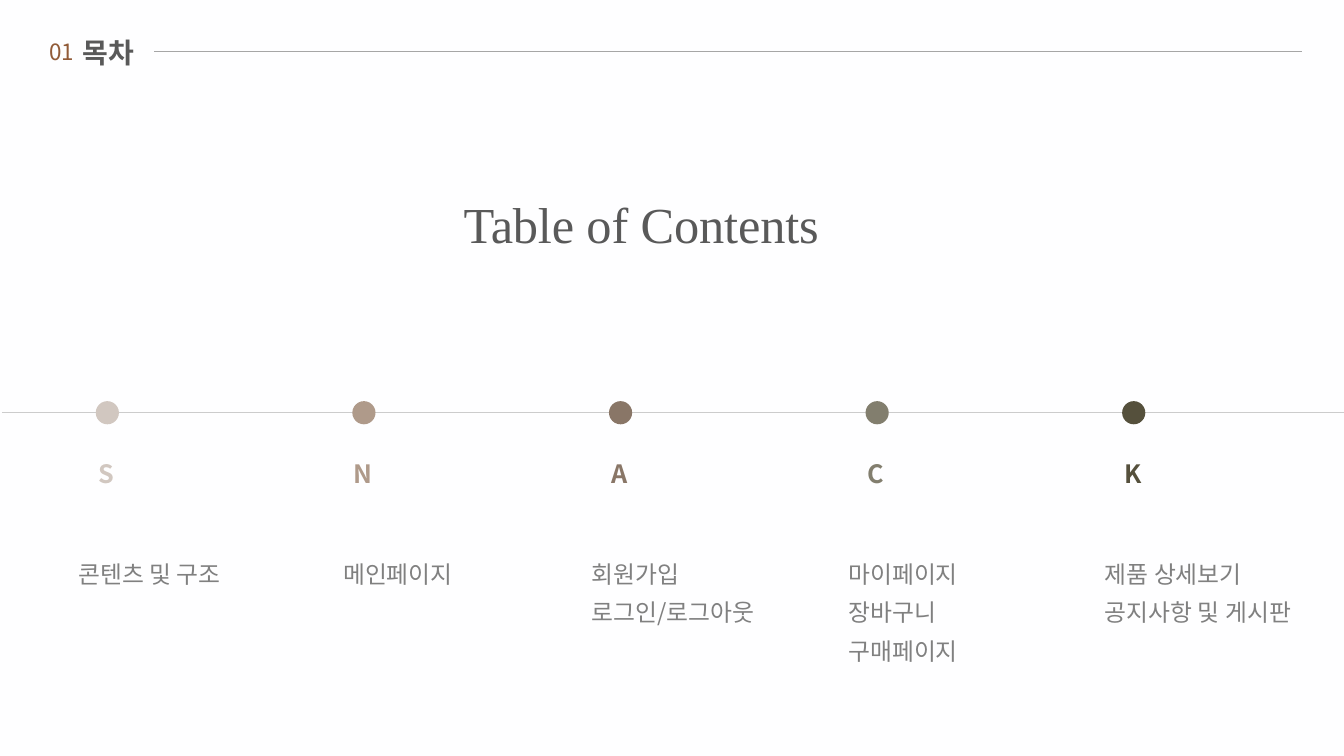
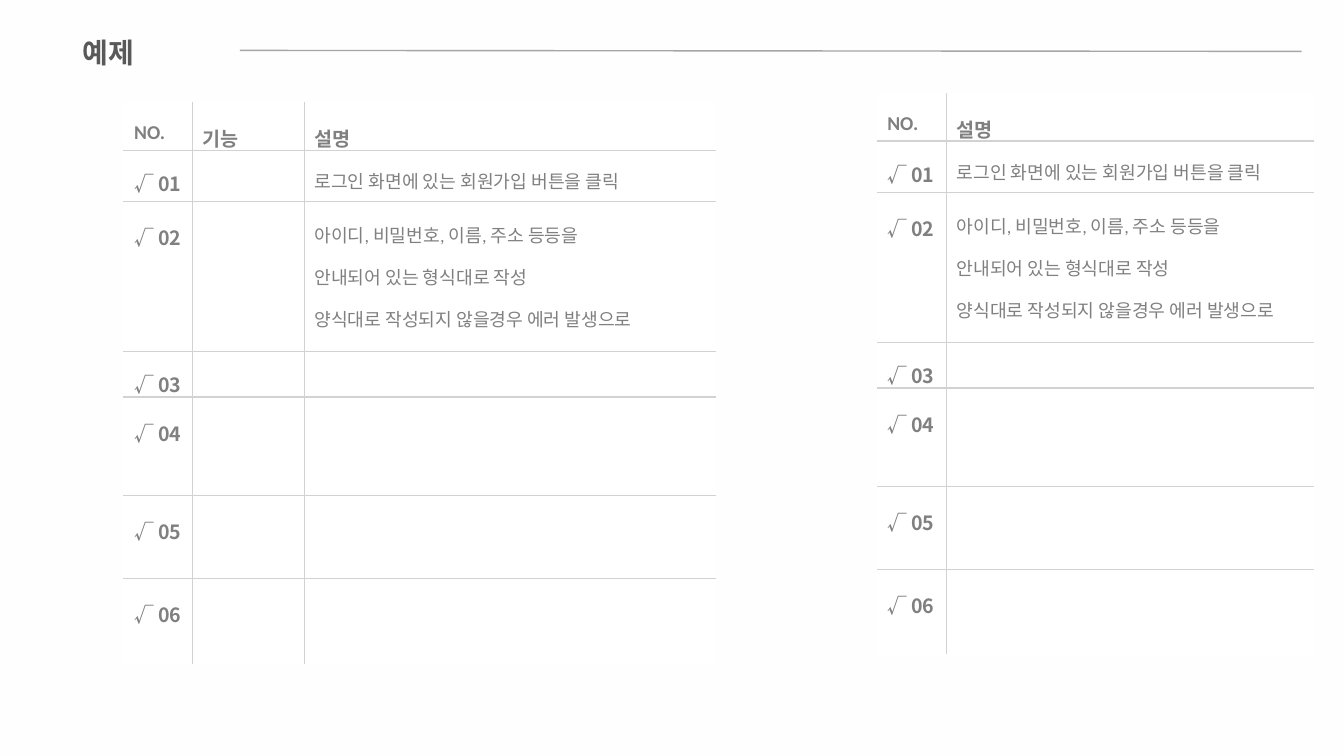
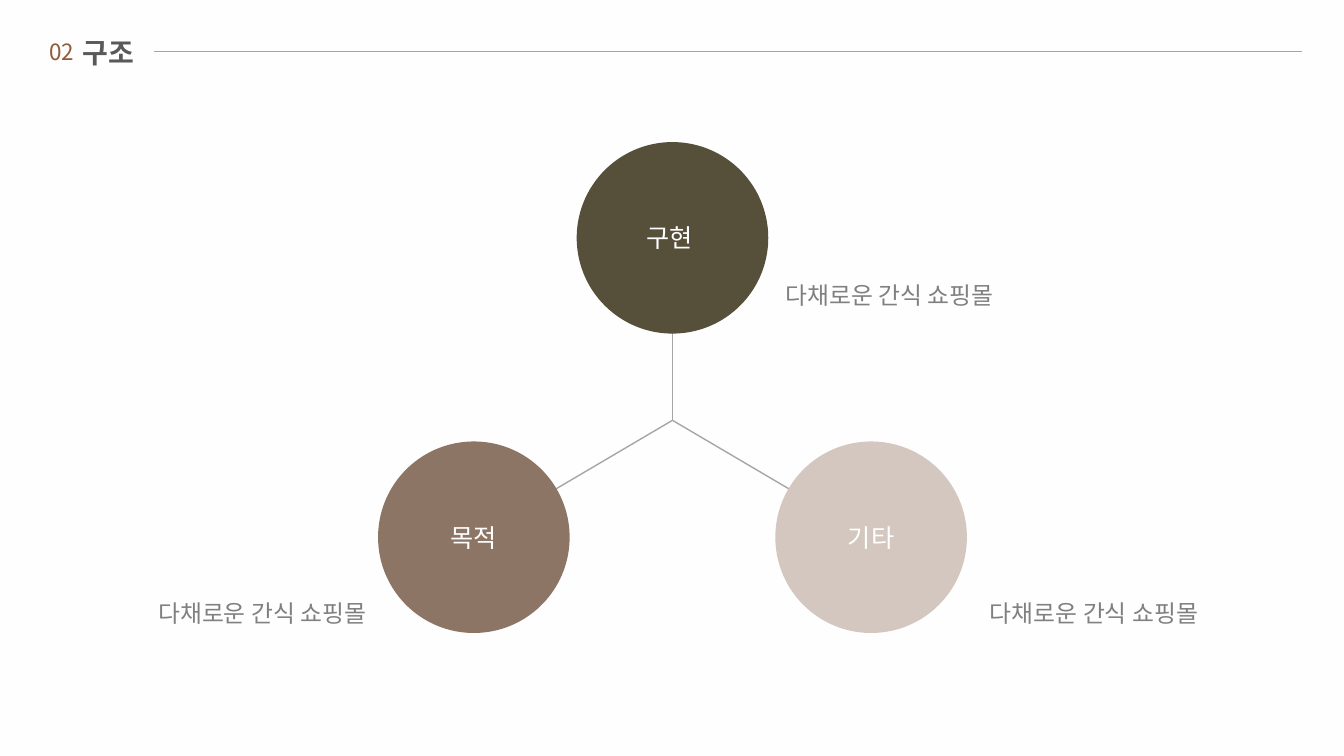
"""Builds three slides on a snack shop: contents, function tables and structure."""
import pptx
import pptx.chart.data
import pptx.dml.color
import pptx.enum.shapes
import pptx.enum.text
import pptx.oxml
import pptx.oxml.ns
import pptx.util
from pptx.util import Inches

COLORS = {
    "paper": "FEFEFF", "white": "FFFFFF", "title": "595959", "number": "915B38",
    "body": "808080", "rule": "A6A6A6", "timeline": "CCCCCC", "grid": "D2D2D2",
    "S": "D1C7C0", "N": "AF9A8A", "A": "897667", "C": "827E6E", "K": "55503C",
    "olive": "56503A", "brown": "8D7565", "beige": "D3C7BF",
}
RGB = {name: pptx.dml.color.RGBColor.from_string(code) for name, code in COLORS.items()}
SANS = "Noto Sans CJK KR"
ALIGN = pptx.enum.text.PP_ALIGN
OVAL = pptx.enum.shapes.MSO_SHAPE.OVAL


def write(frame, text, size=17, color="body", font=SANS, bold=False,
          align=ALIGN.LEFT, spacing=None, tracking=0):
    frame.word_wrap = True
    for index, line in enumerate(text.split("\n")):
        para = frame.add_paragraph() if index else frame.paragraphs[0]
        para.alignment = align
        para.line_spacing = spacing
        span = para.add_run()
        span.text = line
        span.font.size = pptx.util.Pt(size)
        span.font.bold = bold
        span.font.name = font
        span.font.color.rgb = RGB[color]
        properties = span.font._element
        east = pptx.oxml.parse_xml(
            f'<a:ea {pptx.oxml.ns.nsdecls("a")} typeface="{SANS}"/>')
        properties.append(east)
        if tracking:
            properties.set("spc", str(tracking))


def draw_line(page, left, top, right, bottom, color="rule"):
    line = page.shapes.add_connector(
        pptx.enum.shapes.MSO_CONNECTOR.STRAIGHT,
        Inches(left), Inches(top), Inches(right), Inches(bottom))
    line.line.color.rgb = RGB[color]
    line.line.width = pptx.util.Pt(1)
    line._element.spPr.append(
        pptx.oxml.parse_xml(f'<a:effectLst {pptx.oxml.ns.nsdecls("a")}/>'))


deck = pptx.Presentation()
deck.slide_width, deck.slide_height = Inches(13.33), Inches(7.5)
background = deck.slide_master.background.fill
background.solid()
background.fore_color.rgb = RGB["paper"]

pages = []
for number, title, width, font, tracking, start, start_top in [
    ("01", "목차", 2.59, "Calibri", -10, 1.53, 0.51),
    ("", "예제", 1.84, SANS, 0, 2.38, 0.5),
    ("02", "구조", 1.05, SANS, 0, 1.53, 0.51),
]:
    page = deck.slides.add_slide(deck.slide_layouts[6])
    pages.append(page)
    if number:
        box = page.shapes.add_textbox(Inches(0.39), Inches(0.33), Inches(0.56), Inches(0.37))
        write(box.text_frame, number, size=16, color="number")
    box = page.shapes.add_textbox(Inches(0.72), Inches(0.3), Inches(width), Inches(0.43))
    write(box.text_frame, title, size=20, color="title", font=font, bold=True,
          tracking=tracking)
    draw_line(page, start, start_top, 12.91, 0.51)

contents, functions, structure = pages

box = contents.shapes.add_textbox(Inches(4.5), Inches(1.87), Inches(7.72), Inches(1.3))
write(box.text_frame, "Table of Contents", size=36, color="title",
      font="Times New Roman", tracking=-10)
draw_line(contents, 0.02, 4.09, 13.35, 4.09, color="timeline")
chapters = [
    ("S", "콘텐츠 및 구조", 0, 2.16),
    ("N", "메인페이지", 0.08, 2.16),
    ("A", "회원가입\n로그인/로그아웃", 0, 2.16),
    ("C", "마이페이지\n장바구니\n구매페이지", 0, 2.16),
    ("K", "제품 상세보기\n공지사항 및 게시판", 0, 2.28),
]
for index, (letter, topics, indent, width) in enumerate(chapters):
    left = 0.68 + index * 10.18 / 4
    dot = contents.shapes.add_shape(
        OVAL, Inches(left + 0.27), Inches(3.98), Inches(0.23), Inches(0.23))
    dot.shadow.inherit = False
    dot.fill.solid()
    dot.fill.fore_color.rgb = RGB[letter]
    dot.line.fill.background()
    box = contents.shapes.add_textbox(Inches(left), Inches(4.5), Inches(0.75), Inches(0.4))
    write(box.text_frame, letter, size=18, color=letter, bold=True, align=ALIGN.CENTER)
    box = contents.shapes.add_textbox(
        Inches(left + indent), Inches(5.4), Inches(width), Inches(0.87))
    write(box.text_frame, topics, spacing=1.35)

descriptions = {
    1: "로그인 화면에 있는 회원가입 버튼을 클릭",
    2: "아이디, 비밀번호, 이름, 주소 등등을\n안내되어 있는 형식대로 작성\n"
       "양식대로 작성되지 않을경우 에러 발생으로",
}
row_heights = [0.47, 0.51, 1.49, 0.45, 0.98, 0.82, 0.85]
for left, top, headings, widths in [
    (8.7, 0.93, ["NO.", "설명"], [0.69, 3.64]),
    (1.23, 1.02, ["NO.", "기능", "설명"], [0.68, 1.11, 4.08]),
]:
    table = functions.shapes.add_table(
        len(row_heights), len(widths), Inches(left), Inches(top),
        Inches(sum(widths)), Inches(sum(row_heights))).table
    table.first_row = table.horz_banding = False
    last_row, last_column = len(row_heights) - 1, len(widths) - 1
    for column, width in zip(table.columns, widths):
        column.width = Inches(width)
    for row, height in enumerate(row_heights):
        table.rows[row].height = Inches(height)
        spacing = 1.5 if row in (1, 3) else 1.6
        for column in range(len(widths)):
            cell = table.cell(row, column)
            cell.margin_top, cell.margin_bottom = Inches(0.04), 0
            outer = {"L": column == 0, "R": column == last_column,
                     "T": row == 0, "B": row == last_row}
            for side, at_edge in outer.items():
                color = COLORS["white" if at_edge else "grid"]
                cell._tc.get_or_add_tcPr().append(pptx.oxml.parse_xml(
                    f'<a:ln{side} {pptx.oxml.ns.nsdecls("a")} w="12700"><a:solidFill>'
                    f'<a:srgbClr val="{color}"/></a:solidFill></a:ln{side}>'))
            cell.fill.solid()
            cell.fill.fore_color.rgb = RGB["white"]
            if row == 0:
                write(cell.text_frame, headings[column], size=14, font="Calibri",
                      bold=True, spacing=spacing)
            elif column == 0:
                write(cell.text_frame, f"√ {row:02}", size=14, bold=True, spacing=spacing)
            elif column == last_column and row in descriptions:
                write(cell.text_frame, descriptions[row], size=13, font="Calibri",
                      spacing=spacing)

for end_left, end_top in [(6.67, 3.3), (4.7, 5.33), (8.64, 5.33)]:
    draw_line(structure, end_left, end_top, 6.67, 4.17)
for label, color, left, top, note_left, note_top, note_width in [
    ("구현 ", "olive", 5.72, 1.41, 7.69, 2.64, 2.68),
    ("기타", "beige", 7.69, 4.38, 9.72, 5.79, 2.68),
    ("목적", "brown", 3.75, 4.38, 1.47, 5.79, 3.08),
]:
    circle = structure.shapes.add_shape(
        OVAL, Inches(left), Inches(top), Inches(1.9), Inches(1.9))
    circle.shadow.inherit = False
    circle.fill.solid()
    circle.fill.fore_color.rgb = RGB[color]
    circle.line.fill.background()
    circle.text_frame.vertical_anchor = pptx.enum.text.MSO_ANCHOR.MIDDLE
    write(circle.text_frame, label, size=18, color="white", align=ALIGN.CENTER)
    box = structure.shapes.add_textbox(
        Inches(note_left), Inches(note_top), Inches(note_width), Inches(0.48))
    write(box.text_frame, "다채로운 간식 쇼핑몰", spacing=1.35)

deck.save("out.pptx")
